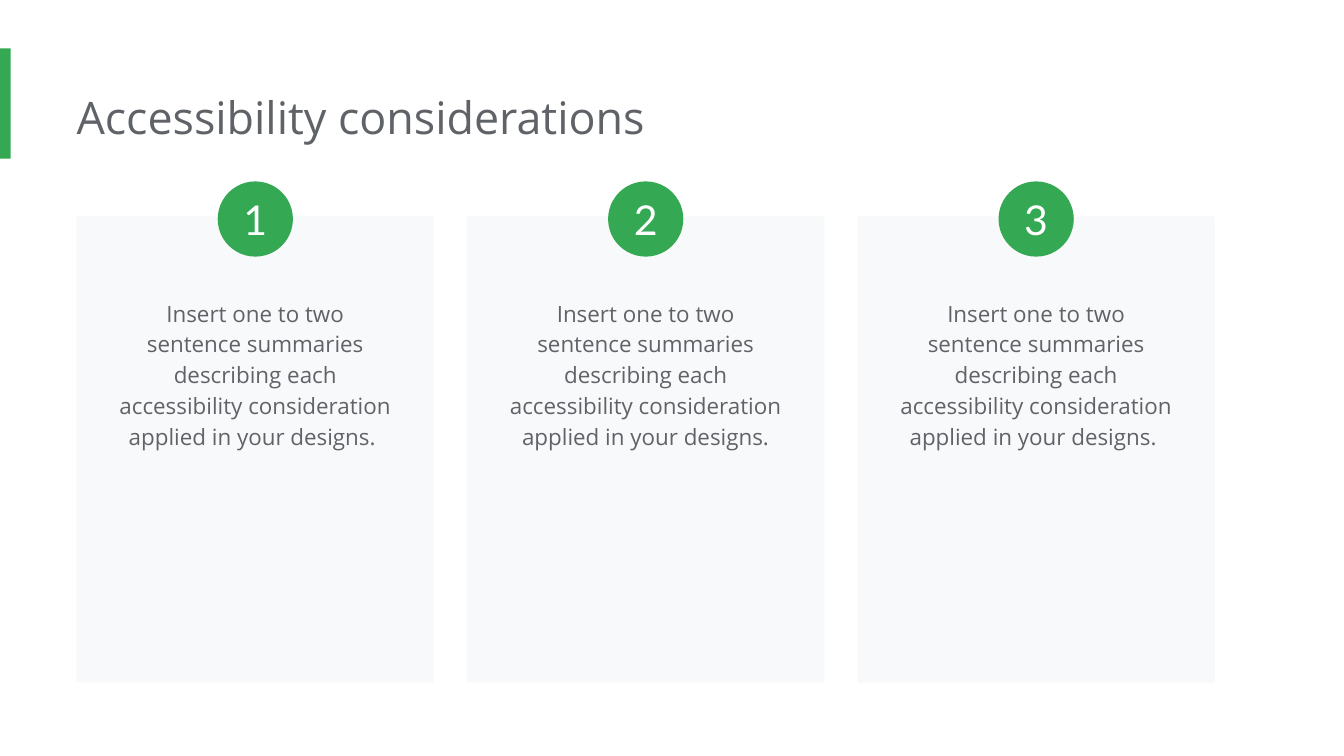
from pptx import Presentation
from pptx.dml.color import RGBColor
from pptx.enum.shapes import MSO_SHAPE
from pptx.enum.text import MSO_ANCHOR, PP_ALIGN
from pptx.util import Inches, Pt

RECT, OVAL = MSO_SHAPE.RECTANGLE, MSO_SHAPE.OVAL
LEFT, CENTER = PP_ALIGN.LEFT, PP_ALIGN.CENTER
TOP, MIDDLE = MSO_ANCHOR.TOP, MSO_ANCHOR.MIDDLE

GREEN = RGBColor(0x34, 0xA8, 0x53)
GRAY = RGBColor(0x5F, 0x63, 0x68)
PALE = RGBColor(0xF8, 0xF9, 0xFA)
WHITE = RGBColor(0xFF, 0xFF, 0xFF)

SUMMARY = ("Insert one to two sentence summaries describing each "
           "accessibility consideration applied in your designs.")
CARDS = [SUMMARY + " ", SUMMARY, SUMMARY + " "]
MARGIN, LAST_CARD_X, CARD_TOP = 0.57, 6.38, 1.61
CARD_W, CARD_H = 2.66, 3.47
CARD_PITCH = (LAST_CARD_X - MARGIN) / (len(CARDS) - 1)
BADGE = 0.56


def add_block(s, kind, x, y, w, h, color):
    """Add a flat filled shape without outline or shadow."""
    sp = s.shapes.add_shape(kind, Inches(x), Inches(y), Inches(w), Inches(h))
    sp.shadow.inherit = False
    sp.fill.solid()
    sp.fill.fore_color.rgb = color
    sp.line.fill.background()
    return sp


def add_textbox(s, x, y, w, h):
    """Add an empty text box."""
    return s.shapes.add_textbox(Inches(x), Inches(y), Inches(w), Inches(h))


def set_text(sp, text, size=12, font="Open Sans", color=GRAY, align=LEFT,
             anchor=TOP, insets=(0.1, 0.1, 0.1, 0.1), spacing=1.0):
    """Write one formatted paragraph into a shape."""
    tf = sp.text_frame
    tf.word_wrap = True
    tf.vertical_anchor = anchor
    (tf.margin_left, tf.margin_top,
     tf.margin_right, tf.margin_bottom) = map(Inches, insets)
    p = tf.paragraphs[0]
    p.alignment = align
    p.line_spacing = spacing
    r = p.add_run()
    r.text = text
    r.font.size = Pt(size)
    r.font.name = font
    r.font.color.rgb = color


def add_header(s, x, y, w, h):
    """Place the accent bar at the slide edge and the title."""
    add_block(s, RECT, 0, y - 0.21, 0.08, 0.82, GREEN)
    set_text(add_textbox(s, x, y, w, h), "Accessibility considerations",
             size=24, insets=(0, 0.1, 0.1, 0.1))


def add_card(s, x, y, w, h, number, text):
    """Place a summary card with a numbered badge over its top edge."""
    add_block(s, RECT, x, y, w, h, PALE)
    set_text(add_textbox(s, x + 0.21, y + 0.49, w - 0.42, 1.58), text,
             align=CENTER, spacing=1.15)
    badge = add_block(s, OVAL, x + (w - BADGE) / 2, y - 0.26, BADGE, BADGE, GREEN)
    set_text(badge, str(number), size=22, font="Lato", color=WHITE,
             align=CENTER, anchor=MIDDLE, insets=(0, 0, 0, 0))


def main():
    """Build the slide and save it."""
    prs = Presentation()
    prs.slide_width = Inches(10)
    prs.slide_height = Inches(10 * 9 / 16)
    s = prs.slides.add_slide(prs.slide_layouts[6])
    add_header(s, MARGIN, 0.57, 7.66, 0.6)
    for i, text in enumerate(CARDS):
        add_card(s, MARGIN + i * CARD_PITCH, CARD_TOP, CARD_W, CARD_H, i + 1, text)
    prs.save("out.pptx")


if __name__ == "__main__":
    main()
